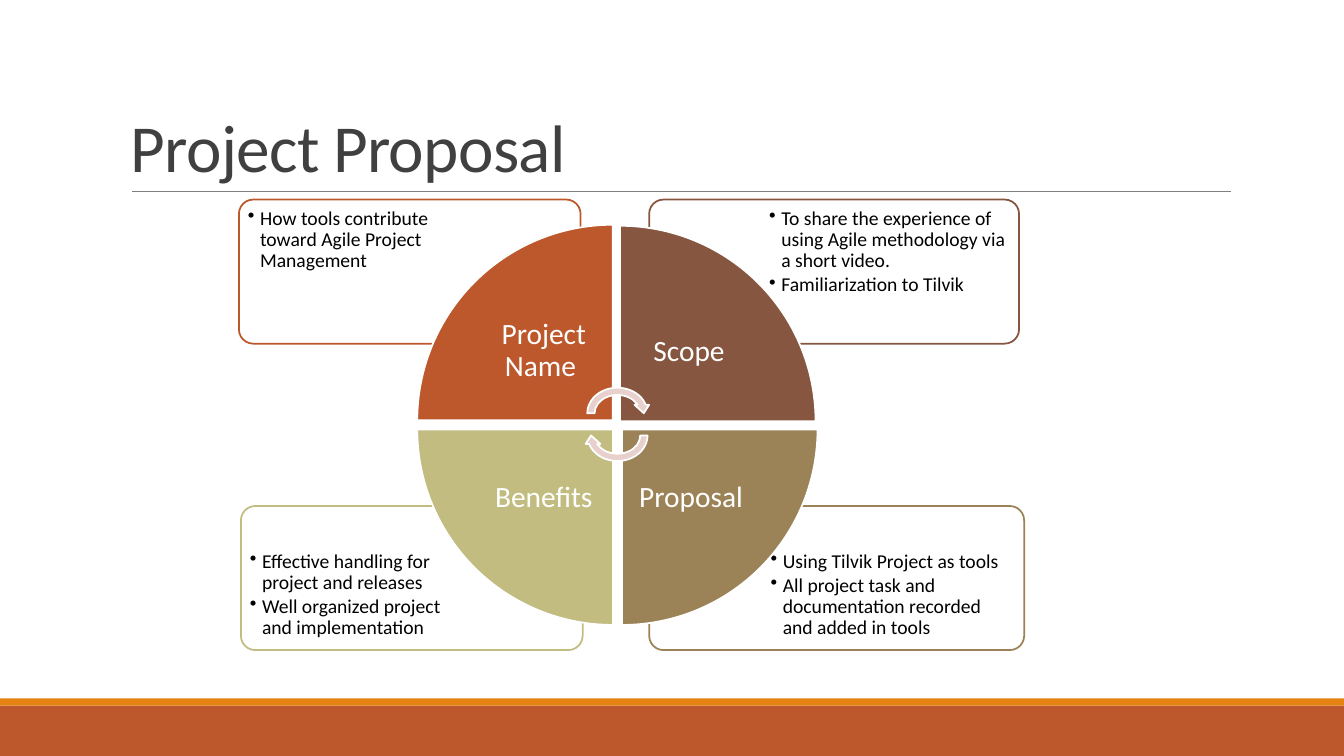
from lxml import etree
from pptx import Presentation
from pptx.dml.color import RGBColor
from pptx.enum.shapes import MSO_CONNECTOR, MSO_SHAPE
from pptx.enum.text import MSO_ANCHOR, PP_ALIGN
from pptx.oxml.ns import qn
from pptx.util import Inches, Pt

RECT, ROUND = MSO_SHAPE.RECTANGLE, MSO_SHAPE.ROUNDED_RECTANGLE
WEDGE, ARC = MSO_SHAPE.PIE_WEDGE, MSO_SHAPE.CIRCULAR_ARROW
STRAIGHT = MSO_CONNECTOR.STRAIGHT
TOP, MIDDLE, BOTTOM = MSO_ANCHOR.TOP, MSO_ANCHOR.MIDDLE, MSO_ANCHOR.BOTTOM
LEFT, CENTER = PP_ALIGN.LEFT, PP_ALIGN.CENTER

COLS, ROWS = 133.33, 75
RUST, BROWN, TAN, SAGE = "BD582C", "865640", "9B8357", "C2BC80"
ORANGE, PINK, WHITE, BLACK = "E48312", "E8D1CD", "FFFFFF", "000000"
GRAY, DARK = "808080", "404040"

WIDE, TALL = 19.4, 14.3  # wedge side, panel height
LABEL = 13.7

# label, colour, wedge (left, top), panel (left, top, width), bullets
PARTS = [
    ("Project Name ", RUST, (41.4, 22.3), (23.7, 19.8, 33.9),
     ["How tools contribute toward Agile Project Management"]),
    ("Scope", BROWN, (61.5, 22.4), (64.4, 19.8, 36.7),
     ["To share the experience of using Agile methodology via a short video.",
      "Familiarization to Tilvik"]),
    ("Proposal", TAN, (61.7, 42.6), (64.4, 50.2, 37.2),
     ["Using Tilvik Project as tools",
      "All project task and documentation recorded and added in tools"]),
    ("Benefits", SAGE, (41.4, 42.6), (23.9, 50.2, 33.9),
     ["Effective handling for project and releases",
      "Well organized project and implementation"]),
]


def paint(code):
    return RGBColor.from_string(code)


class Board:
    """Draws on one slide; lengths are columns and rows of its grid."""

    font = "Calibri"

    def __init__(self, deck):
        self.slide = deck.slides.add_slide(deck.slide_layouts[6])
        self.shapes = self.slide.shapes
        self.col = deck.slide_width / COLS
        self.row = deck.slide_height / ROWS

    def place(self, x, y, w, h):
        return (round(x * self.col), round(y * self.row),
                round(w * self.col), round(h * self.row))

    def shape(self, kind, box, fill, line=None, turn=0):
        item = self.shapes.add_shape(kind, *self.place(*box))
        item.shadow.inherit = False
        item.rotation = turn
        item.fill.solid()
        item.fill.fore_color.rgb = paint(fill)
        if line:
            item.line.color.rgb = paint(line)
            item.line.width = Pt(1.25)
        else:
            item.line.fill.background()
        return item

    def panel(self, box, line):
        item = self.shape(ROUND, box, WHITE, line)
        item.adjustments[0] = 0.1
        fill = item._element.spPr.find(qn("a:solidFill"))
        etree.SubElement(fill[0], qn("a:alpha"), val="90000")

    def rule(self, x, y, end):
        x, y, w, _ = self.place(x, y, end - x, 0)
        item = self.shapes.add_connector(STRAIGHT, x, y, x + w, y)
        item.line.color.rgb = paint(GRAY)
        item.line.width = Pt(0.5)
        etree.SubElement(item._element.spPr, qn("a:effectLst"))

    def text(self, box, lines, size, color, anchor=TOP, align=LEFT,
             inset=0.06, pitch=0.9):
        frame = self.shapes.add_textbox(*self.place(*box)).text_frame
        frame.word_wrap = True
        frame.vertical_anchor = anchor
        frame.margin_left = frame.margin_right = Inches(inset)
        frame.margin_top = frame.margin_bottom = Inches(inset)
        frame.text = "\n".join(lines)
        for para in frame.paragraphs:
            para.alignment = align
            para.line_spacing = pitch
            for run in para.runs:
                run.font.name = self.font
                run.font.size = Pt(size)
                run.font.color.rgb = paint(color)
        return frame

    def list(self, box, lines):
        for para in self.text(box, lines, 14, BLACK).paragraphs:
            para.space_after = Pt(2)
            props = para._p.get_or_add_pPr()
            props.set("marL", str(Inches(0.12)))
            props.set("indent", str(-Inches(0.12)))
            etree.SubElement(props, qn("a:buChar"), char="•")

    def title(self, box, words):
        frame = self.text(box, [words], 48, DARK, BOTTOM, inset=0.1, pitch=0.85)
        frame.margin_top = frame.margin_bottom = Inches(0.05)
        frame.paragraphs[0].runs[0].font._element.set("spc", "-50")


def main():
    deck = Presentation()
    deck.slide_width, deck.slide_height = Inches(13.33), Inches(7.5)
    board = Board(deck)

    board.shape(RECT, (0, 70, COLS, 5), RUST)
    board.shape(RECT, (0, 69.3, COLS, 0.7), ORANGE)
    board.rule(13.1, 19, 122.1)
    board.title((12, 3.1, 110, 15.9), "Project Proposal")

    for step, (_, color, _, (x, y, w), notes) in enumerate(PARTS):
        board.panel((x, y, w, TALL), color)
        shift = 0.3 * w if step in (1, 2) else 0
        drop = 3.9 if step > 1 else 0.3
        board.list((x + shift + 0.3, y + drop, 0.7 * w - 0.6, 10.1), notes)

    for step, (name, color, (x, y), _, _) in enumerate(PARTS):
        board.shape(WEDGE, (x, y, WIDE, WIDE), color, WHITE, 90 * step)
        shift = 0 if step in (1, 2) else WIDE - LABEL
        drop = 0 if step > 1 else WIDE - LABEL
        board.text((x + shift, y + drop, LABEL, LABEL), [name], 21, WHITE,
                   MIDDLE, CENTER, 0.16)

    for top, turn in ((38.1, 0), (40.3, 180)):
        board.shape(ARC, (57.9, top, 6.7, 5.8), PINK, WHITE, turn)

    deck.save("out.pptx")


if __name__ == "__main__":
    main()
